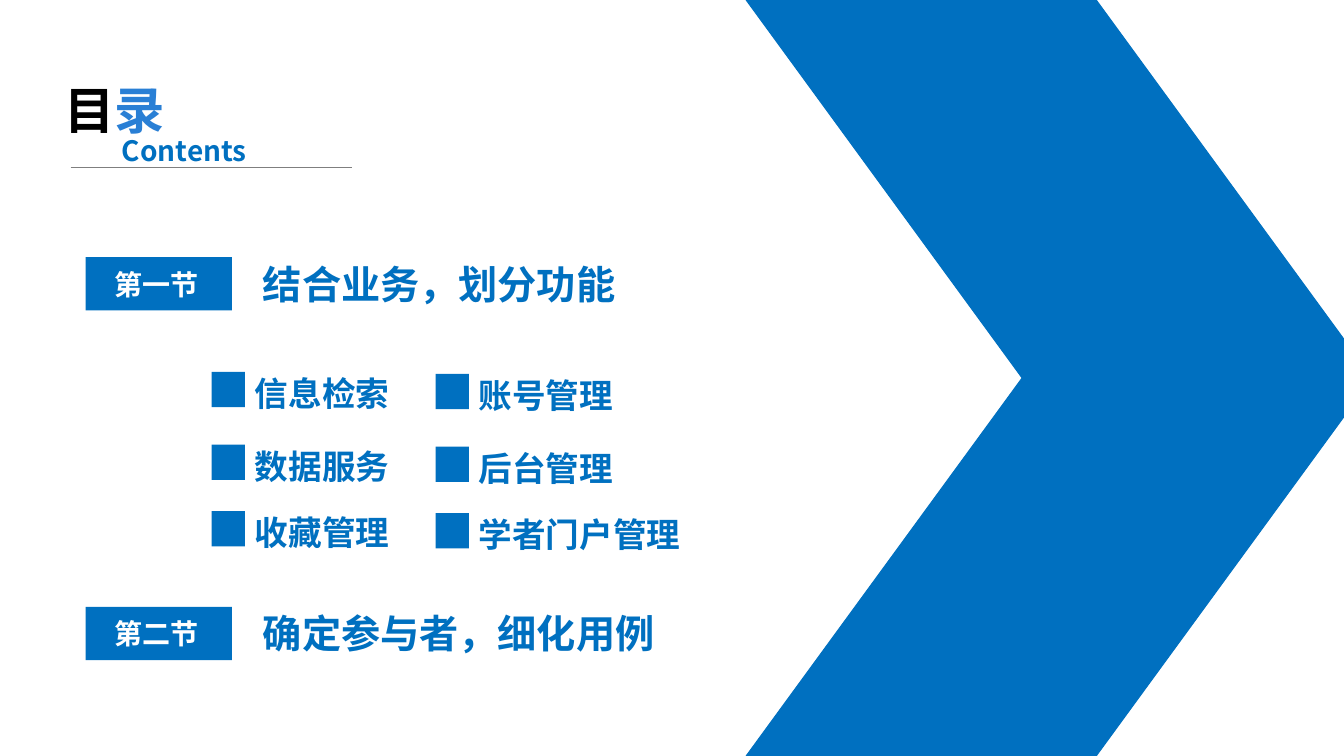
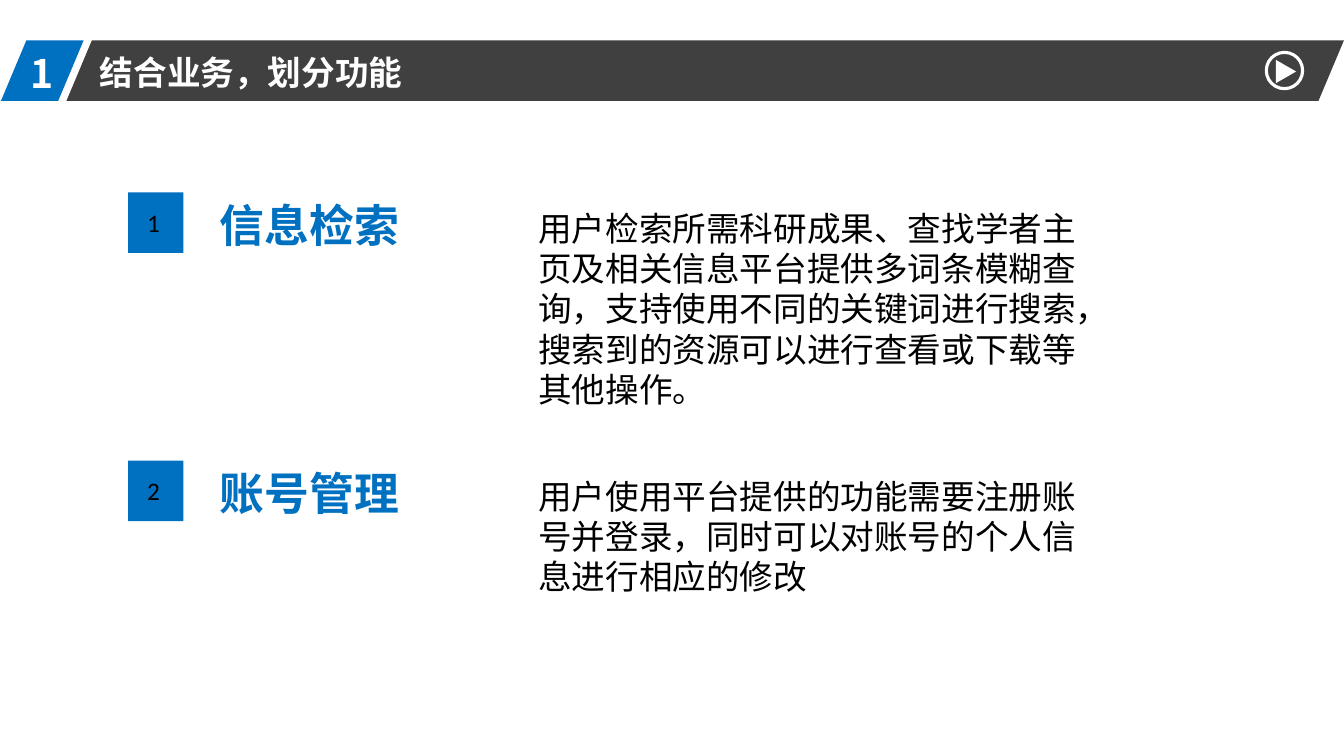
from itertools import product

from lxml.etree import SubElement
from pptx import Presentation
from pptx.dml.color import RGBColor
from pptx.enum.shapes import MSO_CONNECTOR, MSO_SHAPE
from pptx.enum.text import MSO_ANCHOR, MSO_AUTO_SIZE, PP_ALIGN
from pptx.oxml.ns import qn
from pptx.util import Inches, Pt

BLUE = RGBColor(0x00, 0x70, 0xC0)
LIGHT_BLUE = RGBColor(0x29, 0x7F, 0xD5)
DARK_GRAY = RGBColor(0x40, 0x40, 0x40)
GRAY = RGBColor(0x7F, 0x7F, 0x7F)
WHITE = RGBColor(0xFF, 0xFF, 0xFF)
BLACK = RGBColor(0x00, 0x00, 0x00)

HEADING_FONT = "Noto Sans CJK SC"
BODY_FONT = "Calibri"
TITLE_ONLY = 5
SECTIONS = ("结合业务，划分功能", "确定参与者，细化用例")


class Deck:
    frame_format = {
        "word_wrap": True,
        "auto_size": MSO_AUTO_SIZE.SHAPE_TO_FIT_TEXT,
        "vertical_anchor": MSO_ANCHOR.TOP,
        "margin_left": Inches(0.1),
        "margin_right": Inches(0.1),
        "margin_top": Inches(0.05),
        "margin_bottom": Inches(0.05),
    }

    def __init__(self):
        self.presentation = Presentation()
        self.presentation.slide_width = Inches(13.33)
        self.presentation.slide_height = Inches(7.5)
        self.slide = None

    def add_slide(self):
        layout = self.presentation.slide_layouts[TITLE_ONLY]
        self.slide = self.presentation.slides.add_slide(layout)

    def fill_text(self, shape, runs, size, name, bold):
        frame = shape.text_frame
        for attribute, value in self.frame_format.items():
            setattr(frame, attribute, value)
        paragraph = frame.paragraphs[0]
        paragraph.alignment = PP_ALIGN.LEFT
        for text, color in runs:
            run = paragraph.add_run()
            run.text = text
            font_format = {"size": Pt(size), "name": name, "bold": bold}
            for attribute, value in font_format.items():
                setattr(run.font, attribute, value)
            run.font.color.rgb = color
            east_asian = SubElement(run.font._element, qn("a:ea"))
            east_asian.set("typeface", name)

    def text(self, box, text, size, color=BLUE, name=HEADING_FONT, bold=True):
        shape = self.slide.shapes.add_textbox(*map(Inches, box))
        self.fill_text(shape, [(text, color)], size, name, bold)

    def title(self, box, runs, size):
        title = self.slide.shapes.title
        places = zip(("left", "top", "width", "height"), map(Inches, box))
        for attribute, value in places:
            setattr(title, attribute, value)
        self.fill_text(title, runs, size, HEADING_FONT, True)
        self.slide.shapes._spTree.append(title._element)

    def shape(self, kind, box, fill=BLUE, line=None, line_width=0.75,
              slant=None, rotation=0, flip=False):
        shape = self.slide.shapes.add_shape(kind, *map(Inches, box))
        shape.shadow.inherit = False
        shape.rotation = rotation
        if fill is None:
            shape.fill.background()
        else:
            shape.fill.solid()
            shape.fill.fore_color.rgb = fill
        if line is None:
            shape.line.fill.background()
        else:
            shape.line.color.rgb = line
            shape.line.width = Pt(line_width)
        if slant is not None:
            shape.adjustments[0] = slant
        if flip:
            shape._element.spPr.get_or_add_xfrm().set("flipV", "1")

    def rule(self, left, right, top):
        line = self.slide.shapes.add_connector(
            MSO_CONNECTOR.STRAIGHT, *map(Inches, (left, top, right, top)))
        line.line.color.rgb = GRAY
        line.line.width = Pt(0.5)
        SubElement(line._element.spPr, qn("a:effectLst"))

    def section(self, label, heading, top):
        self.shape(MSO_SHAPE.RECTANGLE, (0.85, top, 1.45, 0.53))
        self.text((1.04, top + 0.05, 1.05, 0.44), label, 20, WHITE)
        self.text((2.51, top - 0.02, 6.13, 0.57), heading, 28)

    def bullet_item(self, text, left, top):
        self.shape(MSO_SHAPE.RECTANGLE, (left, top, 0.33, 0.35))
        self.text((left + 0.33, top - 0.04, 2.25, 0.5), text, 24)

    def header(self, number, heading):
        band = MSO_SHAPE.PARALLELOGRAM
        self.shape(band, (0.66, 0.4, 12.67, 0.6), DARK_GRAY, slant=0.42)
        self.shape(band, (0.01, 0.4, 0.82, 0.6), slant=0.42)
        self.text((0.2, 0.44, 0.69, 0.57), number, 28, WHITE)
        self.title((0.89, 0.46, 6.34, 0.5), [(heading, WHITE)], 24)
        self.shape(MSO_SHAPE.OVAL, (12.56, 0.52, 0.36, 0.36), None, WHITE, 2.25)
        self.shape(MSO_SHAPE.ISOSCELES_TRIANGLE, (12.64, 0.61, 0.23, 0.2),
                   WHITE, rotation=90)

    def feature(self, number, heading, description, top):
        self.shape(MSO_SHAPE.RECTANGLE, (1.27, top, 0.55, 0.6))
        self.text((1.36, top + 0.1, 0.41, 0.4), number, 18, BLACK, BODY_FONT, False)
        self.text((2.08, top, 2.83, 0.64), heading, 32)
        self.text((5.24, top + 0.1, 5.57, 2.12), description, 24, BLACK,
                  BODY_FONT, False)


def build_contents(deck):
    deck.add_slide()
    for top, flip in ((3.75, False), (0, True)):
        deck.shape(MSO_SHAPE.PARALLELOGRAM, (7.4, top, 6.21, 3.75),
                   line=BLUE, slant=0.73, flip=flip)
    deck.title((0.54, 0.73, 1.57, 0.71), [("目", BLACK), ("录", LIGHT_BLUE)], 36)
    deck.rule(0.7, 3.49, 1.66)
    deck.text((1.11, 1.28, 1.57, 0.44), "Contents", 20)
    for label, heading, top in zip(("第一节", "第二节"), SECTIONS, (2.55, 6.02)):
        deck.section(label, heading, top)
    topics = ("信息检索", "账号管理", "数据服务", "后台管理", "收藏管理", "学者门户管理")
    columns = ((2.1, 0), (4.32, 0.02))
    for topic, (top, (left, drop)) in zip(topics, product((3.69, 4.41, 5.07), columns)):
        deck.bullet_item(topic, left, top + drop)


def build_features(deck):
    deck.add_slide()
    deck.header("1", SECTIONS[0])
    deck.feature(
        "1", "信息检索",
        "用户检索所需科研成果、查找学者主页及相关信息平台提供多词条模糊查询，"
        "支持使用不同的关键词进行搜索，搜索到的资源可以进行查看或下载等其他操作。",
        1.91)
    deck.feature(
        "2", "账号管理",
        "用户使用平台提供的功能需要注册账号并登录，"
        "同时可以对账号的个人信息进行相应的修改",
        4.57)


def main():
    deck = Deck()
    build_contents(deck)
    build_features(deck)
    deck.presentation.save("out.pptx")


if __name__ == "__main__":
    main()
